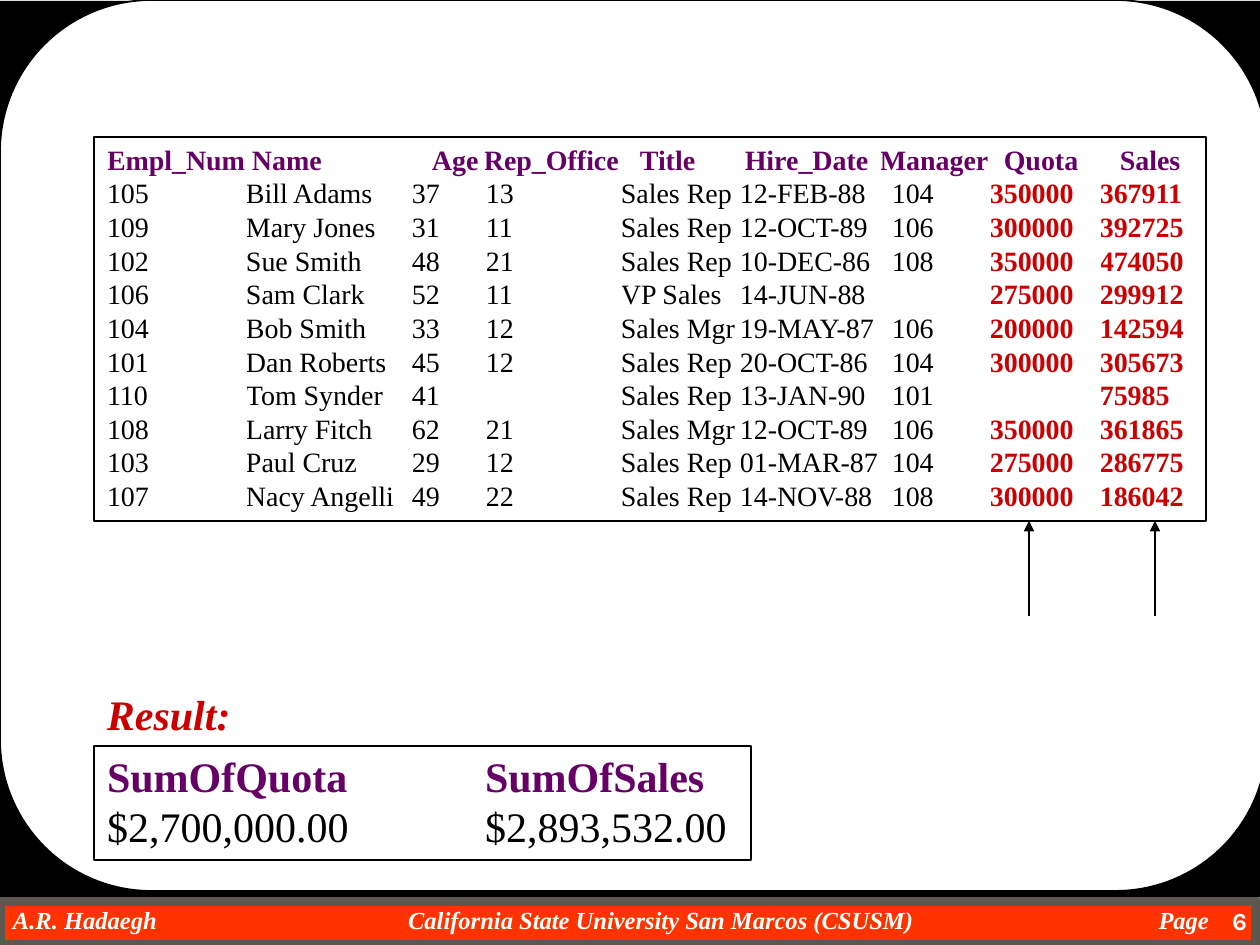
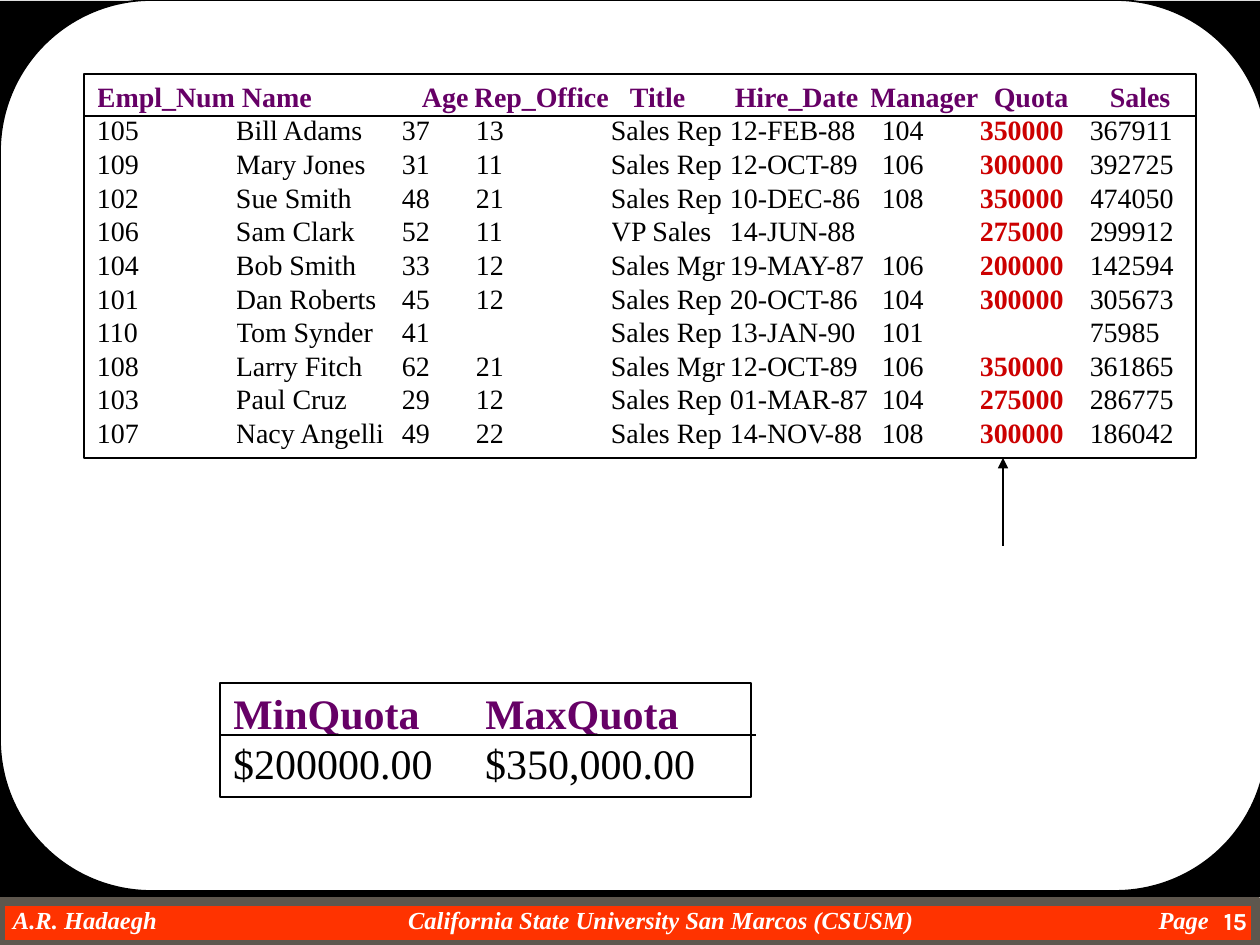
"""Build two slides that show column sums and limits over a staff table."""
from dataclasses import dataclass

from lxml.etree import SubElement
from pptx import Presentation
from pptx.dml.color import RGBColor
from pptx.enum.shapes import MSO_CONNECTOR, MSO_SHAPE
from pptx.enum.text import MSO_ANCHOR, PP_ALIGN
from pptx.oxml.ns import qn
from pptx.shapes.autoshape import Shape
from pptx.slide import Slide
from pptx.text.text import _Paragraph
from pptx.util import Emu, Pt

BLACK = RGBColor(0x00, 0x00, 0x00)
WHITE = RGBColor(0xFF, 0xFF, 0xFF)
ORANGE = RGBColor(0xFF, 0x33, 0x00)
GREY = RGBColor(0x5E, 0x57, 0x4E)
PURPLE = RGBColor(0x66, 0x00, 0x66)
RED = RGBColor(0xCC, 0x00, 0x00)
SERIF = "Times New Roman"
SANS = "Karla"
SCALE = 914400 / 126
PAD_X, PAD_Y = 13, 7

STAFF = [
    ("Empl_Num", "Name", "Age", "Rep_Office", "Title", "Hire_Date", "Manager", "Quota", "Sales"),
    ("105", "Bill Adams", "37", "13", "Sales Rep", "12-FEB-88", "104", "350000", "367911"),
    ("109", "Mary Jones", "31", "11", "Sales Rep", "12-OCT-89", "106", "300000", "392725"),
    ("102", "Sue Smith", "48", "21", "Sales Rep", "10-DEC-86", "108", "350000", "474050"),
    ("106", "Sam Clark", "52", "11", "VP Sales", "14-JUN-88", "", "275000", "299912"),
    ("104", "Bob Smith", "33", "12", "Sales Mgr", "19-MAY-87", "106", "200000", "142594"),
    ("101", "Dan Roberts", "45", "12", "Sales Rep", "20-OCT-86", "104", "300000", "305673"),
    ("110", "Tom Synder", "41", "", "Sales Rep", "13-JAN-90", "101", "", "75985"),
    ("108", "Larry Fitch", "62", "21", "Sales Mgr", "12-OCT-89", "106", "350000", "361865"),
    ("103", "Paul Cruz", "29", "12", "Sales Rep", "01-MAR-87", "104", "275000", "286775"),
    ("107", "Nacy Angelli", "49", "22", "Sales Rep", "14-NOV-88", "108", "300000", "186042"),
]
SUMS = [("SumOfQuota", "SumOfSales"), ("$2,700,000.00", "$2,893,532.00")]
LIMITS = [("MinQuota", "MaxQuota"), ("$200000.00", "$350,000.00")]
STAFF_COLS = (139, 162, 76, 137, 119, 140, 110, 110, 98)
HEAD_PADS = (0, 6, 24, 0, 19, 5, 0, 14, 20)
BODY_PADS = (0, 0, 4, 2, 0, 0, 12, 0, 0)
QUOTA, SALES = 7, 8


@dataclass(frozen=True)
class Box:
    """Place and size in px."""
    x: int
    y: int
    w: int
    h: int

    def emu(self) -> tuple[Emu, ...]:
        """Give the four lengths in EMU."""
        return px(self.x), px(self.y), px(self.w), px(self.h)


@dataclass(frozen=True)
class Style:
    """Look of a run of text."""
    size: int
    color: RGBColor
    bold: bool = False
    slant: bool = False
    font: str = SERIF


@dataclass(frozen=True)
class Grid:
    """A framed table with its columns and marked cells."""
    box: Box
    rows: list[tuple[str, ...]]
    cols: tuple[int, ...]
    size: int
    hot: tuple[int, ...] = ()
    head: tuple[int, ...] = ()
    body: tuple[int, ...] = ()


@dataclass(frozen=True)
class Rule:
    """A line from one point to the next."""
    x1: int
    y1: int
    x2: int
    y2: int
    arrow: bool = False


@dataclass(frozen=True)
class Label:
    """One line of text in a box."""
    box: Box
    text: str
    style: Style
    align: PP_ALIGN = PP_ALIGN.LEFT


@dataclass(frozen=True)
class Page:
    """All that is drawn on one slide."""
    num: str
    grids: list[Grid]
    rules: list[Rule]
    labels: list[Label]


FOOT = Style(14, WHITE, True, True)
FOOT_TEXT = [
    Label(Box(13, 905, 200, 30), "A.R. Hadaegh", FOOT),
    Label(Box(361, 905, 600, 30), "California State University San Marcos (CSUSM)", FOOT, PP_ALIGN.CENTER),
    Label(Box(1109, 905, 100, 30), "Page", FOOT, PP_ALIGN.RIGHT),
]
PAGES = [
    Page(
        "6",
        [
            Grid(Box(94, 137, 1112, 384), STAFF, STAFF_COLS, 16, (QUOTA, SALES), HEAD_PADS, BODY_PADS),
            Grid(Box(94, 746, 657, 114), SUMS, (378, 255), 24),
        ],
        [Rule(x, 616, x, 521, True) for x in (1029, 1155)],
        [Label(Box(107, 682, 149, 63), "Result:", Style(24, RED, True, True))],
    ),
    Page(
        "15",
        [
            Grid(Box(220, 683, 531, 114), LIMITS, (252, 255), 24),
            Grid(Box(84, 74, 1112, 384), STAFF, STAFF_COLS, 16, (QUOTA,), HEAD_PADS, BODY_PADS),
        ],
        [
            Rule(1003, 546, 1003, 458, True),
            Rule(220, 735, 756, 735),
            Rule(84, 116, 1197, 116),
        ],
        [],
    ),
]


def px(num: float) -> Emu:
    """Turn px into EMU."""
    return Emu(round(num * SCALE))


def add_run(par: _Paragraph, text: str, style: Style) -> None:
    """Add one styled run."""
    run = par.add_run()
    run.text = text
    font = run.font
    font.name, font.size = style.font, Pt(style.size)
    font.bold, font.italic = style.bold, style.slant
    font.color.rgb = style.color


def add_shape(slide: Slide, kind: MSO_SHAPE, box: Box, fill: RGBColor,
              line: RGBColor | None = None, width: float = 0.75) -> Shape:
    """Draw a flat preset shape."""
    shape = slide.shapes.add_shape(kind, *box.emu())
    shape.shadow.inherit = False
    shape.fill.solid()
    shape.fill.fore_color.rgb = fill
    if line is None:
        shape.line.fill.background()
    else:
        shape.line.color.rgb = line
        shape.line.width = Pt(width)
    return shape


def add_label(slide: Slide, label: Label) -> None:
    """Draw one line of text."""
    frame = slide.shapes.add_textbox(*label.box.emu()).text_frame
    frame.margin_left = frame.margin_right = frame.margin_top = frame.margin_bottom = 0
    frame.word_wrap = True
    frame.vertical_anchor = MSO_ANCHOR.MIDDLE
    par = frame.paragraphs[0]
    par.alignment = label.align
    add_run(par, label.text, label.style)


def add_rule(slide: Slide, rule: Rule) -> None:
    """Draw a thin line, with a head at its end if asked."""
    ends = (px(n) for n in (rule.x1, rule.y1, rule.x2, rule.y2))
    line = slide.shapes.add_connector(MSO_CONNECTOR.STRAIGHT, *ends)
    line.line.color.rgb = BLACK
    line.line.width = Pt(0.75)
    if rule.arrow:
        SubElement(line.line._get_or_add_ln(), qn("a:tailEnd"), type="triangle")
    SubElement(line._element.spPr, qn("a:effectLst"))


def add_grid(slide: Slide, grid: Grid) -> None:
    """Draw a frame and fill it with a table."""
    box = grid.box
    add_shape(slide, MSO_SHAPE.RECTANGLE, box, WHITE, BLACK)
    high = box.h - 2 * PAD_Y
    place = Box(box.x + PAD_X, box.y + PAD_Y, sum(grid.cols), high)
    table = slide.shapes.add_table(len(grid.rows), len(grid.cols), *place.emu()).table
    table.first_row = table.horz_banding = False
    for col, width in zip(table.columns, grid.cols):
        col.width = px(width)
    for r, row in enumerate(grid.rows):
        table.rows[r].height = px(high / len(grid.rows))
        pads = (grid.body if r else grid.head) or (0,) * len(row)
        for c, text in enumerate(row):
            cell = table.cell(r, c)
            cell.fill.background()
            cell.margin_left = px(pads[c])
            cell.margin_right = cell.margin_top = cell.margin_bottom = 0
            cell.vertical_anchor = MSO_ANCHOR.MIDDLE
            hot = c in grid.hot
            tint = PURPLE if r == 0 else RED if hot else BLACK
            par = cell.text_frame.paragraphs[0]
            if text:
                add_run(par, text, Style(grid.size, tint, r == 0 or hot))
            else:
                SubElement(par._p, qn("a:endParaRPr"), sz=str(grid.size * 100))


def add_base(slide: Slide, num: str) -> None:
    """Draw the footer band and the rounded page."""
    add_shape(slide, MSO_SHAPE.RECTANGLE, Box(0, 901, 1256, 44), ORANGE, GREY, 6)
    add_shape(slide, MSO_SHAPE.RECTANGLE, Box(0, 1, 1260, 896), BLACK)
    sheet = add_shape(slide, MSO_SHAPE.ROUNDED_RECTANGLE, Box(0, 0, 1267, 891), WHITE, BLACK, 1)
    sheet.adjustments[0] = 0.17
    for label in FOOT_TEXT:
        add_label(slide, label)
    style = Style(14, WHITE, True, font=SANS)
    add_label(slide, Label(Box(1165, 897, 82, 48), num, style, PP_ALIGN.RIGHT))


def main() -> None:
    """Build and save the deck."""
    deck = Presentation()
    deck.slide_width, deck.slide_height = px(1260), px(945)
    for page in PAGES:
        slide = deck.slides.add_slide(deck.slide_layouts[6])
        add_base(slide, page.num)
        for grid in page.grids:
            add_grid(slide, grid)
        for label in page.labels:
            add_label(slide, label)
        for rule in page.rules:
            add_rule(slide, rule)
    deck.save("out.pptx")


if __name__ == "__main__":
    main()
